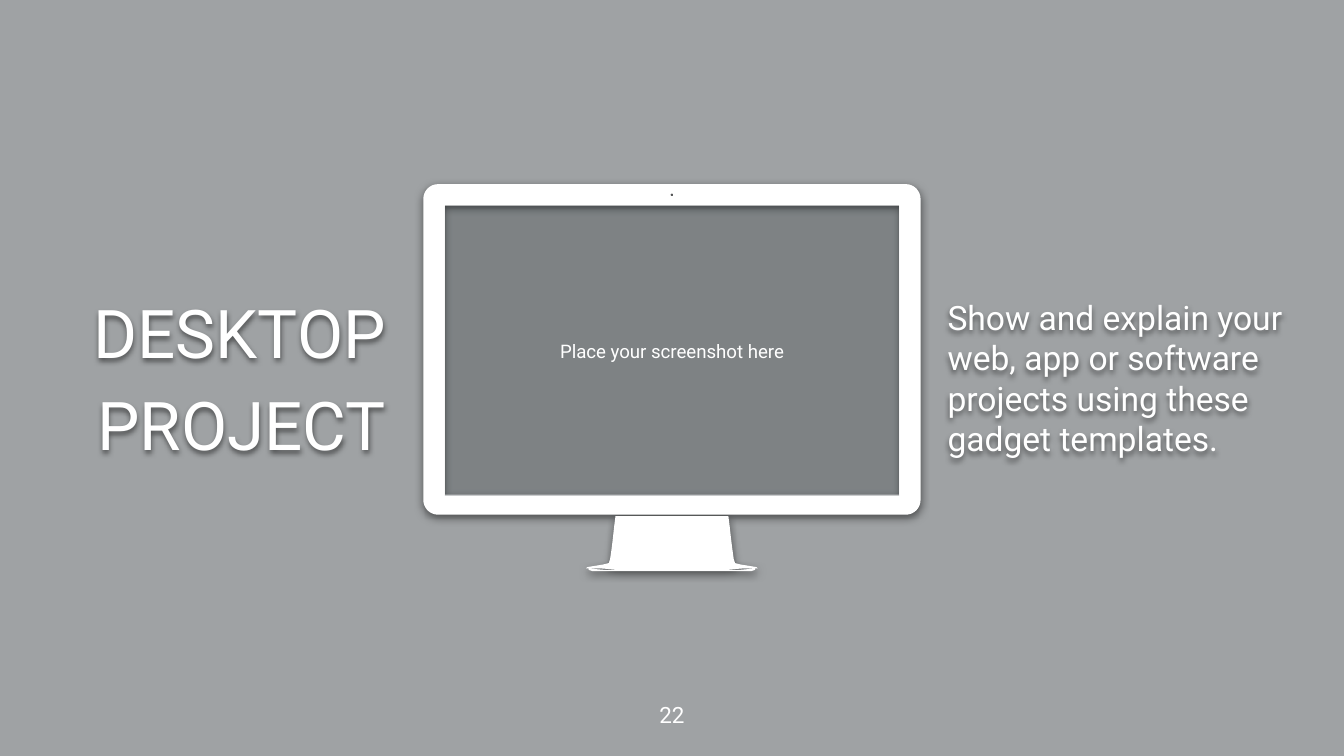
"""Build a slide that presents a desktop project around a monitor mockup."""
from math import cos, radians, sin

from lxml import etree
from pptx import Presentation
from pptx.dml.color import RGBColor
from pptx.enum.shapes import MSO_SHAPE
from pptx.enum.text import MSO_ANCHOR, PP_ALIGN
from pptx.oxml.ns import qn
from pptx.util import Inches, Pt

RECTANGLE = MSO_SHAPE.RECTANGLE
MIDDLE = MSO_ANCHOR.MIDDLE
LEFT, CENTER, RIGHT = PP_ALIGN.LEFT, PP_ALIGN.CENTER, PP_ALIGN.RIGHT

COLORS = {"veil": "040E11", "white": "FFFFFF", "shadow": "000000"}
FONT = "Roboto"
WIDTH = 10
HEIGHT = WIDTH * 9 / 16
VEIL_OPACITY = 21
VEIL_AREA = (0, 0, WIDTH, HEIGHT)
SCREEN_AREA = (3.31, 1.53, 3.38, 2.16)

SCREEN_LABEL = "Place your screenshot here"
TEXTS = [
    {"lines": ["22"], "area": (4.7, 5.02, 0.6, 0.6), "size": 12, "align": CENTER, "shadow": False},
    {"lines": ["DESKTOP", "PROJECT"], "area": (0.25, 1.93, 2.62, 1.76), "size": 36, "align": RIGHT, "shadow": True},
    {"lines": ["Show and explain your web, app or software projects using these gadget templates."],
     "area": (7.05, 1.93, 2.62, 1.76), "size": 18, "align": LEFT, "shadow": True},
]


def arc(center_x, center_y, radius, start, end, steps=8):
    angles = [radians(start + (end - start) * step / steps) for step in range(steps + 1)]
    return [(center_x + radius * cos(angle), center_y + radius * sin(angle)) for angle in angles]


MONITOR_LEFT_HALVES = [
    arc(3.26, 1.48, 0.11, 270, 180) + arc(3.26, 3.72, 0.11, 180, 90),
    [(3.31, 1.53), (3.31, 3.68)],
    arc(5, 1.45, 0.01, 270, 90),
    [(4.58, 3.84), (4.57, 3.92), (4.56, 4.01), (4.55, 4.09), (4.54, 4.16), (4.53, 4.19), (4.49, 4.2),
     (4.43, 4.21), (4.37, 4.22), (4.36, 4.23), (4.4, 4.23), (4.48, 4.23), (4.6, 4.24)],
    [(4.76, 4.24), (4.49, 4.24), (4.38, 4.23), (4.38, 4.24), (4.41, 4.25), (4.76, 4.25)],
]


def color(name):
    return RGBColor.from_string(COLORS[name])


def add_shadow(shape, blur):
    shape.shadow.inherit = False
    effects = shape._element.spPr.find(qn("a:effectLst"))
    shadow = etree.SubElement(effects, qn("a:outerShdw"), blurRad=str(Pt(blur)), dist=str(Pt(1.5)),
                              dir="5400000", algn="bl", rotWithShape="0")
    tint = etree.SubElement(shadow, qn("a:srgbClr"), val=COLORS["shadow"])
    etree.SubElement(tint, qn("a:alpha"), val="50000")


def paint(shape, name):
    shape.shadow.inherit = False
    shape.fill.solid()
    shape.fill.fore_color.rgb = color(name)
    shape.line.fill.background()


def add_veil(page, area):
    veil = page.shapes.add_shape(RECTANGLE, *map(Inches, area))
    paint(veil, "veil")
    tint = veil._element.spPr.find(qn("a:solidFill"))[0]
    etree.SubElement(tint, qn("a:alpha"), val=str(VEIL_OPACITY * 1000))
    return veil


def add_monitor(page):
    builder = None
    for half in MONITOR_LEFT_HALVES:
        outline = half + [(WIDTH - x, y) for x, y in reversed(half)]
        points = [(Inches(x), Inches(y)) for x, y in outline]
        if builder is None:
            builder = page.shapes.build_freeform(*points[0])
        else:
            builder.move_to(*points[0])
        builder.add_line_segments(points[1:], close=True)
    monitor = builder.convert_to_shape()
    paint(monitor, "white")
    add_shadow(monitor, 4.5)


def write(shape, lines, size, align, margin=0):
    frame = shape.text_frame
    frame.word_wrap = True
    frame.vertical_anchor = MIDDLE
    frame.margin_left = frame.margin_right = frame.margin_top = frame.margin_bottom = Inches(margin)
    for index, line in enumerate(lines):
        para = frame.add_paragraph() if index else frame.paragraphs[0]
        para.text = line
        para.alignment = align
        if index:
            para.space_before = Pt(6)
        para.font.name = FONT
        para.font.size = Pt(size)
        para.font.color.rgb = color("white")


def main():
    deck = Presentation()
    deck.slide_width, deck.slide_height = Inches(WIDTH), Inches(HEIGHT)
    page = deck.slides.add_slide(deck.slide_layouts[6])
    page.background.fill.solid()
    page.background.fill.fore_color.rgb = color("white")

    for _ in range(2):
        add_veil(page, VEIL_AREA)
    add_monitor(page)
    screen = add_veil(page, SCREEN_AREA)
    write(screen, [SCREEN_LABEL], 10, CENTER, margin=0.1)

    for text in TEXTS:
        box = page.shapes.add_textbox(*map(Inches, text["area"]))
        write(box, text["lines"], text["size"], text["align"])
        if text["shadow"]:
            add_shadow(box, 3)
    deck.save("out.pptx")


if __name__ == "__main__":
    main()
